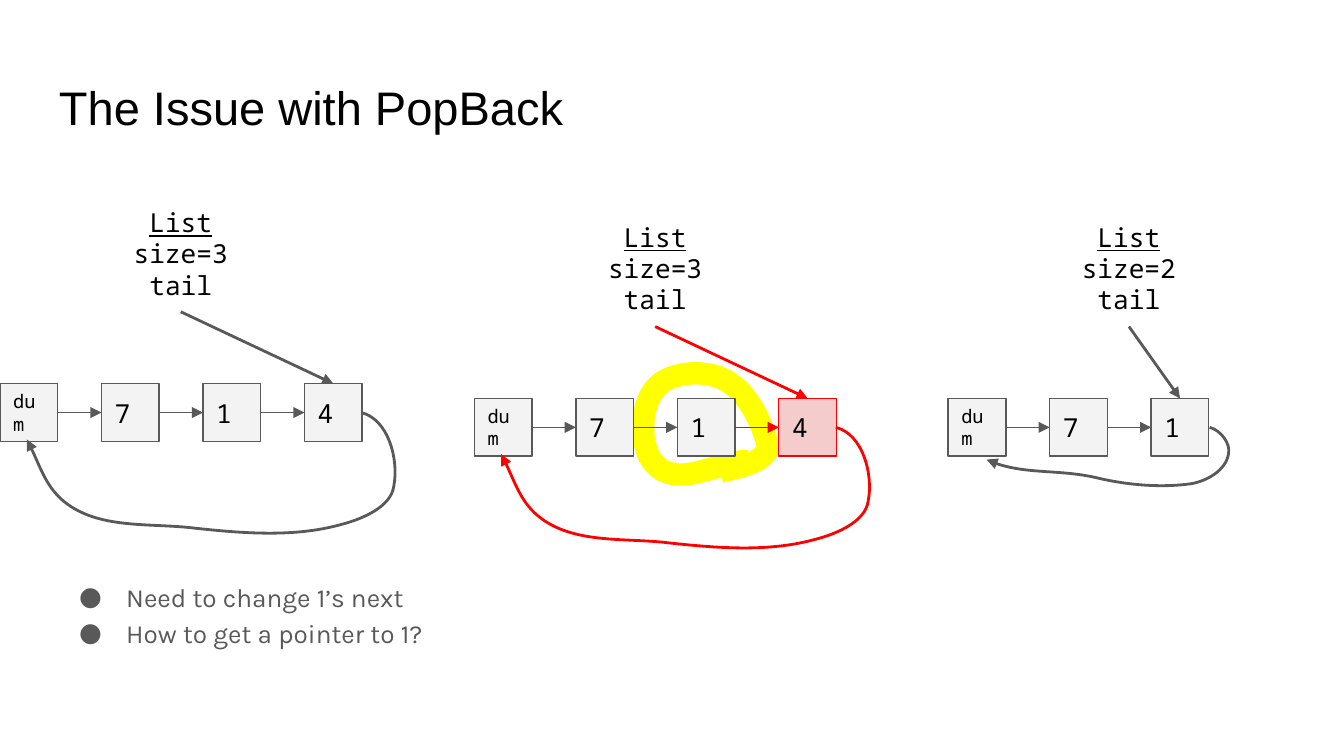
from dataclasses import dataclass

from lxml import etree
from pptx import Presentation
from pptx.dml.color import RGBColor
from pptx.enum import shapes, text
from pptx.oxml.ns import qn
from pptx.util import Emu, Pt

SCALE = 4572  # EMU in one px, 200 px to the inch


@dataclass(frozen=True)
class Theme:
    ink: str = "000000"
    gray: str = "595959"
    node: str = "F3F3F3"
    alert: str = "FF0000"
    alert_fill: str = "F4CCCC"
    marker: str = "FFFF00"
    title_font: str = "Arial"
    body_font: str = "Karla"
    code_font: str = "Noto Sans Mono"
    title_size: float = 25.2
    body_size: float = 14
    small_size: float = 10
    thin: float = 0.75
    thick: float = 1.5
    marker_width: float = 12


THEME = Theme()

# List geometry, relative to the list's top-left corner
NODE, PITCH, NODE_TOP = 86, 151, 284
LABEL = (168, 0, 202, 177)

# Curves: a start point, then Bezier segments of three points
LONG_LOOP = [(538, 327),
             (578, 337), (594, 397), (586, 437),
             (582, 467), (540, 485), (510, 493),
             (440, 513), (364, 507), (290, 499),
             (226, 491), (152, 501), (100, 463),
             (70, 441), (58, 401), (40, 367)]
SHORT_LOOP = [(389, 327),
              (405, 331), (421, 351), (417, 367),
              (413, 391), (385, 407), (361, 411),
              (317, 417), (269, 413), (225, 403),
              (169, 389), (109, 399), (57, 375)]
CIRCLE = [(366, 393),
          (392, 387), (442, 377), (436, 351),
          (426, 315), (406, 275), (374, 257),
          (348, 243), (310, 243), (284, 257),
          (244, 277), (240, 361), (274, 387),
          (310, 415), (364, 377), (408, 377)]


def px(value):
    return Emu(round(value * SCALE))


def color(value):
    return RGBColor.from_string(value)


def style_line(shape, line_color, width, arrow=False):
    shape.line.fill.solid()
    shape.line.fill.fore_color.rgb = color(line_color)
    shape.line.width = Pt(width)
    if arrow:
        line = shape._element.spPr.find(qn("a:ln"))
        etree.SubElement(line, qn("a:tailEnd"), type="triangle")


def add_run(paragraph, words, font, size, ink, underline=None):
    run = paragraph.add_run()
    run.text = words
    run.font.name = font
    run.font.size = Pt(size)
    run.font.color.rgb = color(ink)
    run.font.underline = underline


def set_margins(frame):
    frame.margin_left = frame.margin_top = px(20)
    frame.margin_right = frame.margin_bottom = px(20)


def add_text_box(slide, box):
    shape = slide.shapes.add_textbox(*map(px, box))
    shape.text_frame.word_wrap = True
    set_margins(shape.text_frame)
    return shape


def add_arrow(slide, start, start_side, end, end_side, line_color, width):
    arrow = slide.shapes.add_connector(shapes.MSO_CONNECTOR.STRAIGHT, 0, 0, 0, 0)
    arrow.begin_connect(start, start_side)
    arrow.end_connect(end, end_side)
    style_line(arrow, line_color, width, arrow=True)
    etree.SubElement(arrow._element.spPr, qn("a:effectLst"))


def curve_extent(controls, axis, steps=20):
    """Return the least and greatest coordinate the curve reaches."""
    reached = []
    for i in range(0, len(controls) - 1, 3):
        a, b, c, d = (point[axis] for point in controls[i:i + 4])
        for t in (step / steps for step in range(steps + 1)):
            s = 1 - t
            reached.append(a * s**3 + 3 * b * s * s * t + 3 * c * s * t * t + d * t**3)
    return round(min(reached)), round(max(reached))


def add_curve(slide, origin, controls, line_color, width, arrow=False):
    (x_min, x_max), (y_min, y_max) = (curve_extent(controls, axis) for axis in (0, 1))
    local = [(px(x - x_min), px(y - y_min)) for x, y in controls]
    builder = slide.shapes.build_freeform(*local[0])
    builder.add_line_segments(local[3::3], close=False)
    curve = builder.convert_to_shape()
    curve.left, curve.top = px(origin[0] + x_min), px(origin[1] + y_min)
    curve.width, curve.height = px(x_max - x_min), px(y_max - y_min)

    # Turn the straight segments into Bezier segments
    outline = next(curve._element.iter(qn("a:path")))
    outline.set("w", str(curve.width))
    outline.set("h", str(curve.height))
    for element in list(outline):
        outline.remove(element)
    move = etree.SubElement(outline, qn("a:moveTo"))
    add_points(move, local[:1])
    for i in range(1, len(local), 3):
        add_points(etree.SubElement(outline, qn("a:cubicBezTo")), local[i:i + 3])

    curve.shadow.inherit = False
    curve.fill.background()
    style_line(curve, line_color, width, arrow)


def add_points(parent, points):
    for x, y in points:
        etree.SubElement(parent, qn("a:pt"), x=str(x), y=str(y))


def add_node(slide, left, top, words, size, fill, line_color):
    node = slide.shapes.add_shape(shapes.MSO_SHAPE.RECTANGLE,
                                  px(left), px(top), px(NODE), px(NODE))
    node.shadow.inherit = False
    node.fill.solid()
    node.fill.fore_color.rgb = color(fill)
    style_line(node, line_color, THEME.thin)
    frame = node.text_frame
    frame.word_wrap = True
    frame.vertical_anchor = text.MSO_ANCHOR.MIDDLE
    set_margins(frame)
    paragraph = frame.paragraphs[0]
    paragraph.alignment = text.PP_ALIGN.LEFT
    add_run(paragraph, words, THEME.code_font, size, THEME.ink)
    return node


def add_title(slide, box, words):
    paragraph = add_text_box(slide, box).text_frame.paragraphs[0]
    add_run(paragraph, words, THEME.title_font, THEME.title_size, THEME.ink)


def add_bullets(slide, box, lines):
    frame = add_text_box(slide, box).text_frame
    for i, words in enumerate(lines):
        paragraph = frame.add_paragraph() if i else frame.paragraphs[0]
        properties = paragraph._p.get_or_add_pPr()
        properties.set("marL", str(px(100)))
        properties.set("indent", str(px(-70)))
        bullet_color = etree.SubElement(properties, qn("a:buClr"))
        etree.SubElement(bullet_color, qn("a:srgbClr"), val=THEME.gray)
        etree.SubElement(properties, qn("a:buFont"), typeface=THEME.body_font)
        etree.SubElement(properties, qn("a:buChar"), char="●")
        paragraph.line_spacing = 1.15
        add_run(paragraph, words, THEME.body_font, THEME.body_size, THEME.gray)


def add_label(slide, box, size):
    label = add_text_box(slide, box)
    frame = label.text_frame
    heading, fields = frame.paragraphs[0], frame.add_paragraph()
    heading.alignment = fields.alignment = text.PP_ALIGN.CENTER
    style = (THEME.code_font, THEME.body_size, THEME.ink)
    add_run(heading, "List", *style, underline=True)
    add_run(fields, f"size={size}", *style)
    fields.add_line_break()
    add_run(fields, "tail", *style)
    return label


def add_linked_list(slide, origin, values, loop, doomed=False):
    """Draw a circular list; a doomed tail and its pointers are red."""
    left, top = origin
    tail_line = THEME.alert if doomed else THEME.gray
    label = add_label(slide, (left + LABEL[0], top + LABEL[1], *LABEL[2:]), len(values))

    # Nodes and next pointers
    previous = None
    for i, words in enumerate(["dum", *values]):
        is_tail = i == len(values)
        line_color = tail_line if is_tail else THEME.gray
        fill = THEME.alert_fill if is_tail and doomed else THEME.node
        size = THEME.body_size if i else THEME.small_size
        node = add_node(slide, left + i * PITCH, top + NODE_TOP,
                        words, size, fill, line_color)
        if previous is not None:
            add_arrow(slide, previous, 3, node, 1, line_color, THEME.thin)
        previous = node

    # Tail pointer and the link back to the dummy
    add_arrow(slide, label, 2, previous, 0, tail_line, THEME.thick)
    add_curve(slide, origin, loop, tail_line, THEME.thick, arrow=True)


# Slide
presentation = Presentation()
presentation.slide_width, presentation.slide_height = px(2000), px(1125)
slide = presentation.slides.add_slide(presentation.slide_layouts[6])
before, popping, after = (0, 287), (706, 309), (1411, 309)
add_curve(slide, popping, CIRCLE, THEME.marker, THEME.marker_width)
add_title(slide, (68, 97, 1864, 125), "The Issue with PopBack")
add_bullets(slide, (68, 838, 1864, 160),
            ["Need to change 1’s next", "How to get a pointer to 1?"])
add_linked_list(slide, before, ["7", "1", "4"], LONG_LOOP)
add_linked_list(slide, popping, ["7", "1", "4"], LONG_LOOP, doomed=True)
add_linked_list(slide, after, ["7", "1"], SHORT_LOOP)
presentation.save("out.pptx")
